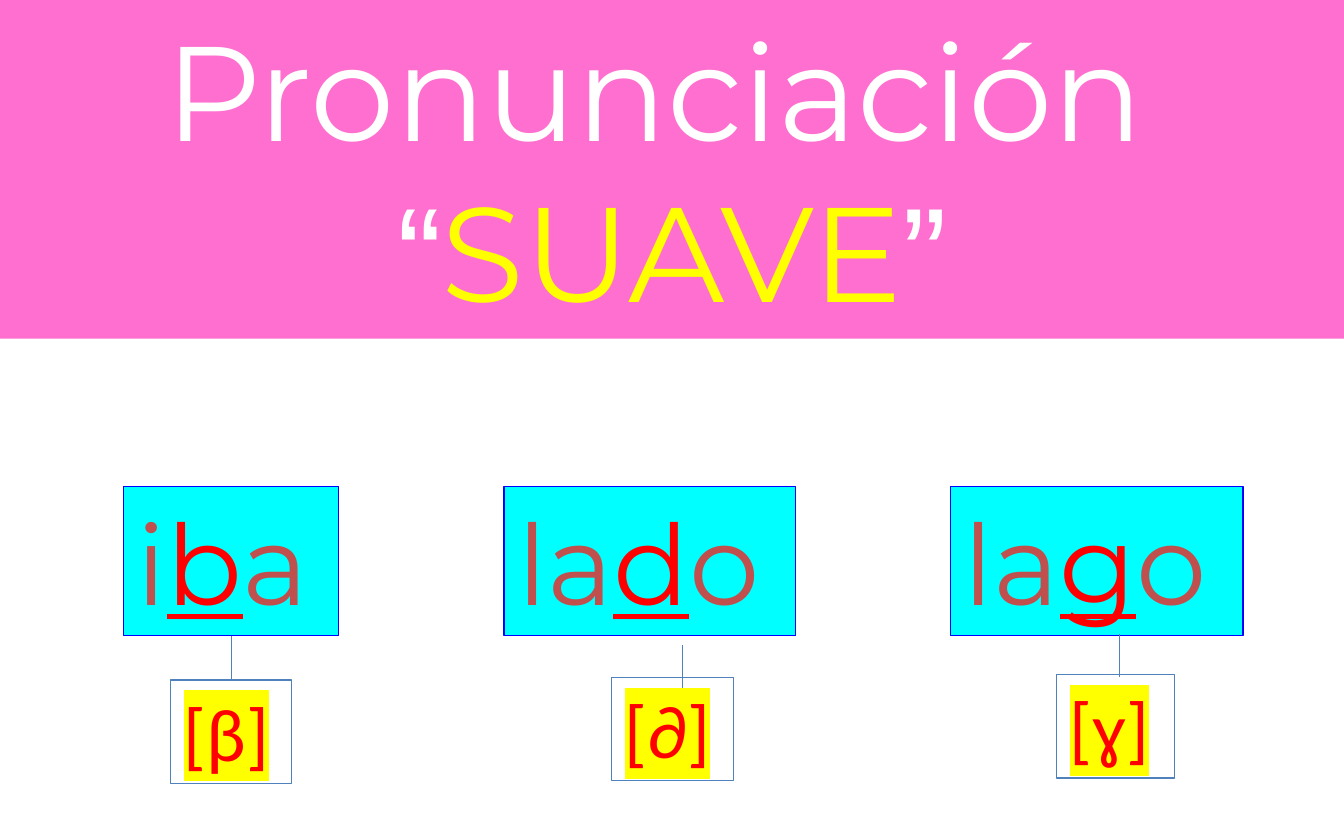
import pptx
import pptx.util
import pptx.dml.color
import pptx.enum.shapes
import pptx.enum.text
import pptx.oxml.ns
from dataclasses import dataclass
from lxml import etree

Pt = pptx.util.Pt
Inches = pptx.util.Inches


@dataclass(frozen=True)
class Theme:
    pink: str = "FF6FCF"
    white: str = "FFFFFF"
    yellow: str = "FFFF00"
    cyan: str = "00FFFF"
    navy: str = "0000FF"
    brick: str = "C0504D"
    red: str = "FF0000"
    steel: str = "4F81BD"
    head: str = "Montserrat"
    quote: str = "Arial"
    sound: str = "Calibri"
    big: int = 72
    mid: int = 60
    small: int = 40
    edge: float = 0.75
    thin: float = 0.5


T = Theme()
WIDE, HIGH = 10, 6.25


def across(share):
    """Percent of the slide width as a length."""
    return Inches(WIDE * share / 100)


def down(share):
    """Percent of the slide height as a length."""
    return Inches(HIGH * share / 100)


def rgb(code):
    return pptx.dml.color.RGBColor.from_string(code)


def write(para, text, size, color, font=T.head, under=None, mark=None):
    """Add a run of text; mark is its highlight colour."""
    run = para.add_run()
    run.text = text
    run.font.size = Pt(size)
    run.font.color.rgb = rgb(color)
    run.font.name = font
    run.font.underline = under
    if mark:
        qn = pptx.oxml.ns.qn
        light = etree.Element(qn("a:highlight"))
        etree.SubElement(light, qn("a:srgbClr"), val=mark)
        run.font._element.find(qn("a:solidFill")).addnext(light)


def box(slide, left, top, width, height, fill=None, line=None, wrap=False):
    shape = slide.shapes.add_shape(
        pptx.enum.shapes.MSO_SHAPE.RECTANGLE,
        across(left), down(top), across(width), down(height))
    shape.shadow.inherit = False
    if fill:
        shape.fill.solid()
        shape.fill.fore_color.rgb = rgb(fill)
    else:
        shape.fill.background()
    if line:
        shape.line.color.rgb = rgb(line)
        shape.line.width = Pt(T.edge)
    else:
        shape.line.fill.background()
    frame = shape.text_frame
    frame.word_wrap = wrap
    frame.auto_size = pptx.enum.text.MSO_AUTO_SIZE.SHAPE_TO_FIT_TEXT
    frame.vertical_anchor = pptx.enum.text.MSO_ANCHOR.TOP
    frame.paragraphs[0].alignment = pptx.enum.text.PP_ALIGN.LEFT
    return shape


def banner(slide):
    frame = box(slide, 0, 0, 100, 40.32, fill=T.pink, wrap=True).text_frame
    first, second = frame.paragraphs[0], frame.add_paragraph()
    for para in (first, second):
        para.alignment = pptx.enum.text.PP_ALIGN.CENTER
    write(first, "Pronunciación ", T.big, T.white)
    write(second, "“", T.big, T.white, font=T.quote)
    write(second, "SUAVE", T.big, T.yellow)
    write(second, "”", T.big, T.white, font=T.quote)


def word(slide, left, width, start, key, end):
    """Draw a word with its key letter underlined."""
    shape = box(slide, left, 57.92, width, 17.76, fill=T.cyan, line=T.navy)
    para = shape.text_frame.paragraphs[0]
    write(para, start, T.mid, T.brick)
    write(para, key, T.mid, T.red, under=True)
    write(para, end, T.mid, T.brick)
    return shape


def sound(slide, left, top, width, sign):
    shape = box(slide, left, top, width, 12.32, line=T.steel)
    write(shape.text_frame.paragraphs[0], f"[{sign}]", T.small, T.red,
          font=T.sound, mark=T.yellow)
    return shape


def stem(slide, x, top):
    line = slide.shapes.add_connector(
        pptx.enum.shapes.MSO_CONNECTOR.STRAIGHT,
        across(x), down(top), across(x), down(top + 5.12))
    line.line.color.rgb = rgb(T.steel)
    line.line.width = Pt(T.thin)
    etree.SubElement(line._element.spPr, pptx.oxml.ns.qn("a:effectLst"))
    return line


def main():
    deck = pptx.Presentation()
    deck.slide_width, deck.slide_height = Inches(WIDE), Inches(HIGH)
    slide = deck.slides.add_slide(deck.slide_layouts[6])
    banner(slide)
    words = [word(slide, *row) for row in (
        (9.2, 16, "i", "b", "a"),
        (37.5, 21.7, "la", "d", "o"),
        (70.7, 21.8, "la", "g", "o"))]
    sounds = [sound(slide, *row) for row in (
        (12.7, 80.96, 9, "β"),
        (45.5, 80.64, 9.1, "∂"),
        (78.6, 80.32, 8.8, "ɣ"))]
    stems = [stem(slide, *row) for row in (
        (17.2, 75.84), (50.8, 76.8), (83.3, 75.52))]
    stems[0].begin_connect(words[0], 2)
    stems[0].end_connect(sounds[0], 0)
    deck.save("out.pptx")


if __name__ == "__main__":
    main()
